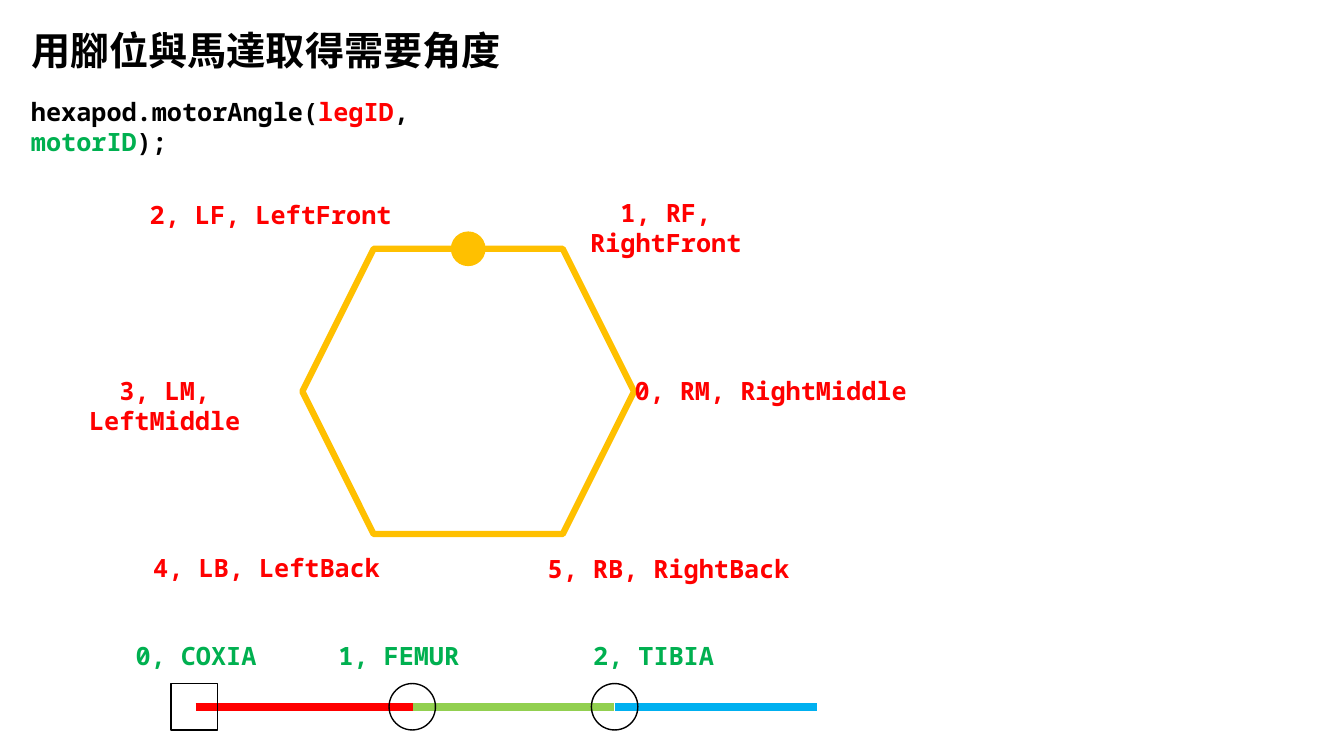
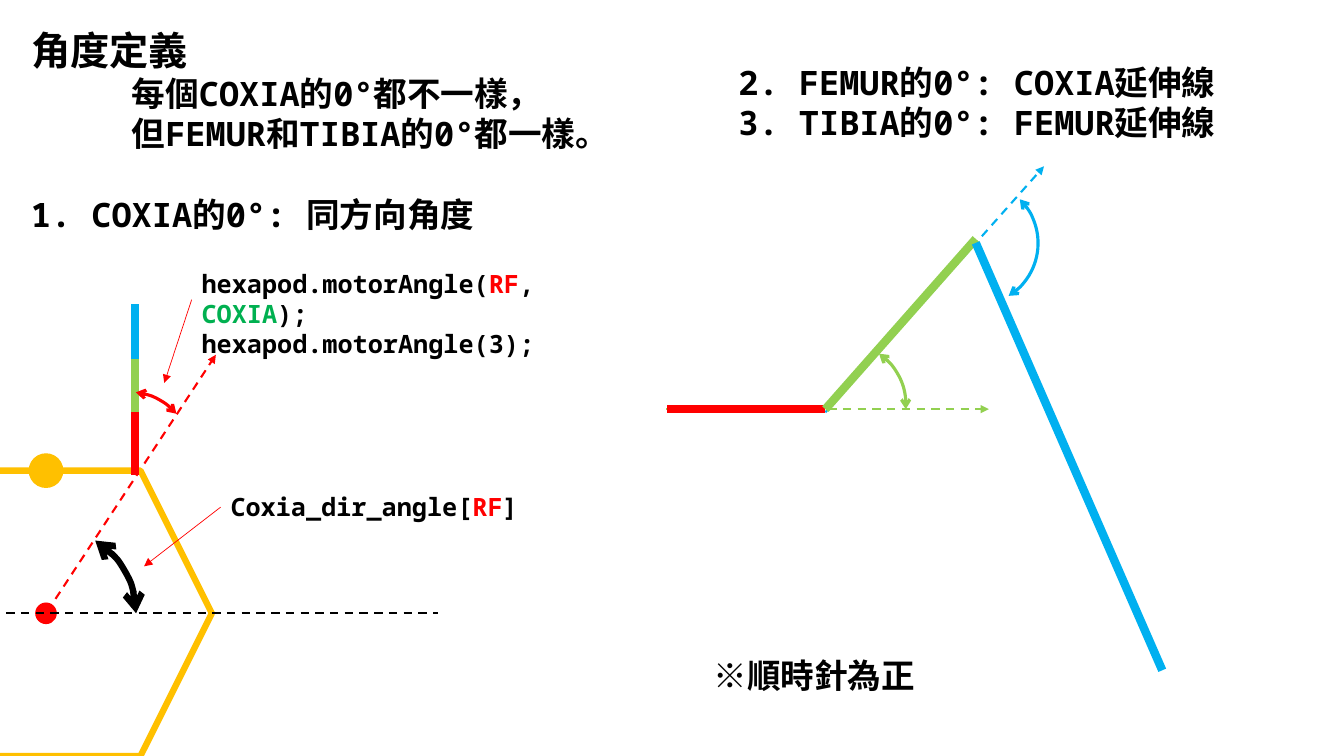
from dataclasses import dataclass
from itertools import pairwise

from pptx import Presentation
from pptx.dml.color import RGBColor
from pptx.enum.dml import MSO_LINE
from pptx.enum.shapes import MSO_CONNECTOR, MSO_SHAPE
from pptx.enum.text import MSO_ANCHOR, MSO_AUTO_SIZE, PP_ALIGN
from pptx.oxml import parse_xml
from pptx.oxml.ns import nsdecls, qn
from pptx.util import Cm, Pt


@dataclass(frozen=True)
class Theme:
    black: str = "000000"
    red: str = "FF0000"
    green: str = "00B050"
    body: str = "FFC000"
    femur: str = "92D050"
    tibia: str = "00B0F0"
    mono: str = "Noto Sans Mono"
    cjk: str = "Noto Sans CJK SC"
    title_size: int = 28
    text_size: int = 24
    code_size: int = 18
    leading: float = 1.19
    leg_width: float = 6
    body_width: float = 4.5


THEME = Theme()

# Content: a line of text is a list of (words, colour) runs; lengths are in cm
TITLES = ["用腳位與馬達取得需要角度", "角度定義"]
TITLE_BOX = (0.53, 0.56, 16.1, 1.45)
HEXAGON_SIZE = (8.36, 7.19)

MOTOR_CALL = [[("hexapod.motorAngle(", THEME.black), ("legID", THEME.red), (", ", THEME.black),
               ("motorID", THEME.green), (");", THEME.black)]]
LEG_LABELS = [  # text, left, top, width
    ("2, LF, LeftFront", 3.48, 4.9, 6.68),
    ("3, LM, LeftMiddle", 0.91, 9.35, 6.48),
    ("4, LB, LeftBack", 3.38, 13.79, 6.68),
    ("1, RF, RightFront", 13.44, 4.85, 6.68),
    ("0, RM, RightMiddle", 15.7, 9.35, 7.44),
    ("5, RB, RightBack", 13.51, 13.82, 6.68),
]
MOTOR_LABELS = [("0, COXIA", 1.6), ("1, FEMUR", 6.71), ("2, TIBIA", 13.13)]
LEG_Y = 17.81
LEG_PARTS = [(4.93, 10.41, THEME.red), (10.41, 15.47, THEME.femur), (15.49, 20.6, THEME.tibia)]
JOINTS = [(MSO_SHAPE.RECTANGLE, 4.9), (MSO_SHAPE.OVAL, 10.39), (MSO_SHAPE.OVAL, 15.49)]
JOINT_SIZE = 1.17

STATEMENTS = [  # lines, box
    (["每個COXIA的0°都不一樣，", "但FEMUR和TIBIA的0°都一樣。"], (3.07, 1.73, 14.43, 2.3)),
    (["1. COXIA的0°: 同方向角度"], (0.53, 4.76, 16.97, 1.27)),
    (["2. FEMUR的0°: COXIA延伸線", "3. TIBIA的0°: FEMUR延伸線"], (18.36, 1.45, 15.2, 2.3)),
    (["※順時針為正"], (17.73, 16.38, 6.17, 1.27)),
]
CALLOUTS = [  # code lines, box, arrow target
    ([[("hexapod.motorAngle(", THEME.black), ("RF", THEME.red), (", ", THEME.black),
       ("COXIA", THEME.green), (");", THEME.black)],
      [("hexapod.motorAngle(3);", THEME.black)]], (4.83, 6.65, 11.35, 1.8), (4.14, 9.65)),
    ([[("Coxia_dir_angle[", THEME.black), ("RF", THEME.red), ("]", THEME.black)]],
     (5.56, 12.27, 8.59, 1.02), (3.63, 14.27)),
]
EXTENSIONS = [  # start, end, colour
    ((20.8, 10.39), (26.31, 4.19), THEME.tibia),
    ((16.79, 10.31), (24.92, 10.31), THEME.femur),
    ((1.4, 15.09), (5.44, 8.94), THEME.red),
]
COXIA_AXIS = ((-1.7, 15.44), (11.05, 15.44))
UPRIGHT_X, UPRIGHT_YS = 3.4, [11.96, 10.39, 9.04, 7.67]
SIDE_LEG = [
    ((16.81, 10.31), (20.8, 10.31), THEME.red),
    ((20.8, 10.31), (24.59, 6.02), THEME.femur),
    ((24.59, 6.12), (29.29, 16.89), THEME.tibia),
]
ANGLES = [  # left, top, diameter, rotation, arc ends, colour, width
    (-0.86, 13.31, 4.29, 0, (180.8, 0), THEME.black, 4.5),
    (1.7, 9.88, 3.12, 0, (165.67, 191.69), THEME.red, 2.25),
    (19.71, 8.64, 3.12, 28.4, (165.67, 201.43), THEME.femur, 2.25),
    (23.04, 4.57, 3.12, 38.7, (165.67, 11.75), THEME.tibia, 2.25),
]


# Text
def fill_text(frame, lines, size, font=THEME.mono, align=PP_ALIGN.LEFT):
    frame.word_wrap = True
    frame.auto_size = MSO_AUTO_SIZE.NONE
    frame.vertical_anchor = MSO_ANCHOR.TOP
    for index, runs in enumerate(lines):
        paragraph = frame.add_paragraph() if index else frame.paragraphs[0]
        paragraph.alignment = align
        paragraph.line_spacing = Pt(round(size * THEME.leading, 1))
        paragraph.space_before = Pt(0)
        for words, color in runs:
            run = paragraph.add_run()
            run.text = words
            run.font.name = font
            run.font.size = Pt(size)
            run.font.bold = True
            run.font.color.rgb = RGBColor.from_string(color)
            run.font.fill.solid()
            run.font.color.rgb = RGBColor.from_string(color)
            latin = run.font._element.find(qn("a:latin"))
            latin.addnext(parse_xml(f'<a:ea {nsdecls("a")} typeface="{THEME.cjk}"/>'))


def add_text(slide, lines, box, size=THEME.code_size, align=PP_ALIGN.LEFT):
    text_box = slide.shapes.add_textbox(*map(Cm, box))
    fill_text(text_box.text_frame, lines, size, align=align)
    return text_box


def add_titled_slide(deck, title):
    slide = deck.slides.add_slide(deck.slide_layouts[5])
    heading = slide.shapes.title
    heading.left, heading.top, heading.width, heading.height = map(Cm, TITLE_BOX)
    fill_text(heading.text_frame, [[(title, THEME.black)]], THEME.title_size, THEME.cjk)
    return slide


# Lines and shapes
def add_arrowheads(shape, **ends):
    outline = shape.element.spPr.find(qn("a:ln"))
    for end in ("headEnd", "tailEnd"):
        if end in ends:
            outline.append(parse_xml(f'<a:{end} {nsdecls("a")} type="{ends[end]}"/>'))


def add_line(slide, start, end, color, width, dashed=False, arrow=False):
    line = slide.shapes.add_connector(MSO_CONNECTOR.STRAIGHT, *map(Cm, (*start, *end)))
    line.line.color.rgb = RGBColor.from_string(color)
    line.line.width = Pt(width)
    if dashed:
        line.line.dash_style = MSO_LINE.DASH
    line.element.spPr.append(parse_xml(f'<a:effectLst {nsdecls("a")}/>'))
    if arrow:
        add_arrowheads(line, tailEnd="triangle")
    return line


def add_outline(slide, kind, box, color, width, filled=False):
    shape = slide.shapes.add_shape(kind, *map(Cm, box))
    shape.shadow.inherit = False
    if filled:
        shape.fill.solid()
        shape.fill.fore_color.rgb = RGBColor.from_string(color)
    else:
        shape.fill.background()
    shape.line.color.rgb = RGBColor.from_string(color)
    shape.line.width = Pt(width)
    return shape


def add_joint(slide, kind, center, size, color, filled=False):
    x, y = center
    add_outline(slide, kind, (x - size / 2, y - size / 2, size, size), color, 1, filled)


def add_robot_body(slide, left, top):
    """Hexagon with a dot on its front edge; returns its centre."""
    width, height = HEXAGON_SIZE
    add_outline(slide, MSO_SHAPE.HEXAGON, (left, top, width, height), THEME.body, THEME.body_width)
    add_joint(slide, MSO_SHAPE.OVAL, (left + width / 2, top), 0.84, THEME.body, True)
    return left + width / 2, top + height / 2


def add_angle(slide, left, top, size, rotation, ends, color, width):
    arc = add_outline(slide, MSO_SHAPE.ARC, (left, top, size, size), color, width)
    arc.adjustments[0], arc.adjustments[1] = ends
    arc.rotation = rotation
    add_arrowheads(arc, headEnd="arrow", tailEnd="arrow")


# Slides
def build_id_slide(deck):
    slide = add_titled_slide(deck, TITLES[0])
    add_robot_body(slide, 7.62, 6.27)
    for label, left, top, width in LEG_LABELS:
        add_text(slide, [[(label, THEME.red)]], (left, top, width, 1.02), align=PP_ALIGN.CENTER)
    for start, end, color in LEG_PARTS:
        add_line(slide, (start, LEG_Y), (end, LEG_Y), color, THEME.leg_width)
    for kind, x in JOINTS:
        add_joint(slide, kind, (x, LEG_Y), JOINT_SIZE, THEME.black)
    for label, left in MOTOR_LABELS:
        add_text(slide, [[(label, THEME.green)]], (left, 16.03, 6.68, 1.02), align=PP_ALIGN.CENTER)
    add_text(slide, MOTOR_CALL, (0.53, 2.31, 13.44, 1.02))


def build_angle_slide(deck):
    slide = add_titled_slide(deck, TITLES[1])
    for start, end, color in EXTENSIONS:
        add_line(slide, start, end, color, 1.5, dashed=True, arrow=True)
    for lines, box in STATEMENTS:
        add_text(slide, [[(line, THEME.black)] for line in lines], box, THEME.text_size)
    center = add_robot_body(slide, -3.02, 11.86)
    add_joint(slide, MSO_SHAPE.OVAL, center, 0.51, THEME.red, True)
    add_line(slide, *COXIA_AXIS, THEME.black, 1.5, dashed=True)

    # Legs seen from above and from the side
    colors = (THEME.red, THEME.femur, THEME.tibia)
    for (start, end), color in zip(pairwise(UPRIGHT_YS), colors):
        add_line(slide, (UPRIGHT_X, start), (UPRIGHT_X, end), color, THEME.leg_width)
    for start, end, color in SIDE_LEG:
        add_line(slide, start, end, color, THEME.leg_width)
    for angle in ANGLES:
        add_angle(slide, *angle)

    # Code callouts with their arrows
    for lines, box, target in CALLOUTS:
        code = add_text(slide, lines, box)
        left, top, _, height = box
        pointer = add_line(slide, (left, top + height / 2), target, THEME.red, 0.5, arrow=True)
        pointer.begin_connect(code, 1)


def main():
    deck = Presentation()
    deck.slide_width, deck.slide_height = Cm(33.87), Cm(19.05)
    build_id_slide(deck)
    build_angle_slide(deck)
    deck.save("out.pptx")


if __name__ == "__main__":
    main()
